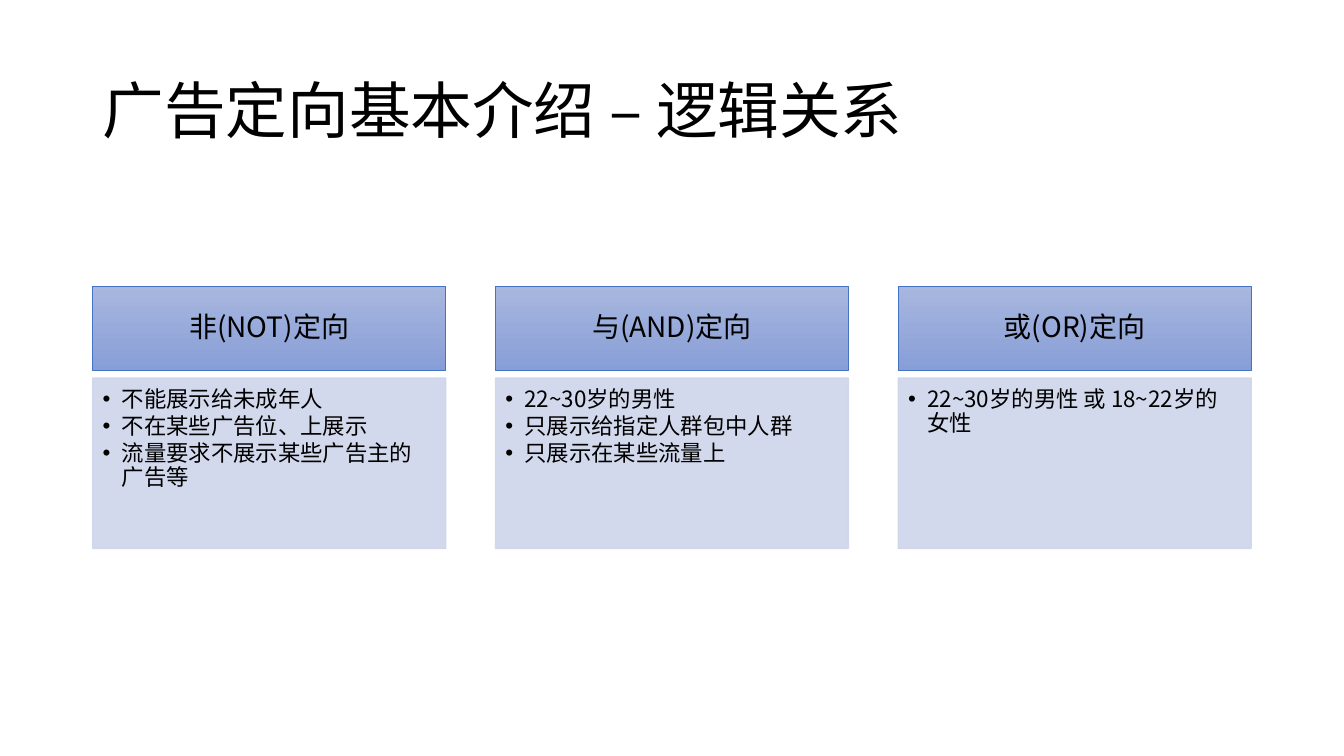
import pptx
import pptx.util
import pptx.dml.color
import pptx.enum.shapes
import pptx.enum.text
import pptx.oxml.ns
import lxml.etree

Inches = pptx.util.Inches
Pt = pptx.util.Pt
qn = pptx.oxml.ns.qn
FONT = "Noto Sans CJK SC"
COLORS = {"text": "000000", "top": "A8B7DF", "base": "889ED7", "edge": "4472C4", "panel": "CFD5EA"}
CARDS = [
    ("非(NOT)定向", ["不能展示给未成年人", "不在某些广告位、上展示", "流量要求不展示某些广告主的广告等"]),
    ("与(AND)定向", ["22~30岁的男性", "只展示给指定人群包中人群", "只展示在某些流量上"]),
    ("或(OR)定向", ["22~30岁的男性 或 18~22岁的女性"]),
]


def color(name):
    return pptx.dml.color.RGBColor.from_string(COLORS[name])


def write(shape, lines, size, insets, middle):
    frame = shape.text_frame
    frame.text = "\n".join(lines)
    frame.word_wrap = True
    frame.margin_left, frame.margin_top, frame.margin_right, frame.margin_bottom = map(Inches, insets)
    anchor = pptx.enum.text.MSO_ANCHOR
    frame.vertical_anchor = anchor.MIDDLE if middle else anchor.TOP
    for para in frame.paragraphs:
        para.line_spacing = 0.9
        para.alignment = pptx.enum.text.PP_ALIGN.LEFT
        for run in para.runs:
            run.font.size = Pt(size)
            run.font.name = FONT
            run.font.color.rgb = color("text")
            lxml.etree.SubElement(run.font._element, qn("a:ea"), typeface=FONT)
    return frame.paragraphs


def block(slide, box, edge, width):
    shape = slide.shapes.add_shape(pptx.enum.shapes.MSO_SHAPE.RECTANGLE, *map(Inches, box))
    shape.shadow.inherit = False
    shape.line.color.rgb = color(edge)
    shape.line.width = Pt(width)
    return shape


def title(slide, box, text):
    shape = slide.shapes.add_textbox(*map(Inches, box))
    write(shape, [text], 44, (0.1, 0.05, 0.1, 0.05), True)


def header(slide, box, text):
    shape = block(slide, box, "edge", 0.5)
    shape.fill.gradient()
    shape.fill.gradient_angle = 270
    for stop, name in zip(shape.fill.gradient_stops, ("top", "base")):
        stop.color.rgb = color(name)
    for para in write(shape, [text], 20, (0.05, 0.03, 0.05, 0.03), True):
        para.alignment = pptx.enum.text.PP_ALIGN.CENTER


def panel(slide, box, lines):
    shape = block(slide, box, "panel", 1)
    shape.fill.solid()
    shape.fill.fore_color.rgb = color("panel")
    for tone in shape._element.spPr.iter(qn("a:srgbClr")):
        lxml.etree.SubElement(tone, qn("a:alpha"), val="90000")
    for para in write(shape, lines, 16, (0.1, 0.1, 0.14, 0.16), False):
        para.space_after = Pt(2)
        props = para._p.get_or_add_pPr()
        props.set("marL", str(Inches(0.19)))
        props.set("indent", str(-Inches(0.19)))
        lxml.etree.SubElement(props, qn("a:buFont"), typeface="Arial")
        lxml.etree.SubElement(props, qn("a:buChar"), char="•")


def card(slide, box, name, lines):
    left, top, width, height = box
    head, gap = 0.83, 0.08
    header(slide, (left, top, width, head), name)
    panel(slide, (left, top + head + gap, width, height - head - gap), lines)


def cards(slide, box):
    left, top, width, height = box
    wide = 3.5
    step = (width - wide) / (len(CARDS) - 1)
    for index, (name, lines) in enumerate(CARDS):
        card(slide, (left + index * step, top, wide, height), name, lines)


deck = pptx.Presentation()
deck.slide_width = Inches(13.33)
deck.slide_height = Inches(7.5)
page = deck.slides.add_slide(deck.slide_layouts[6])
title(page, (0.92, 0.4, 11.5, 1.45), "广告定向基本介绍 – 逻辑关系")
cards(page, (0.92, 2.84, 11.49, 2.6))
deck.save("out.pptx")
